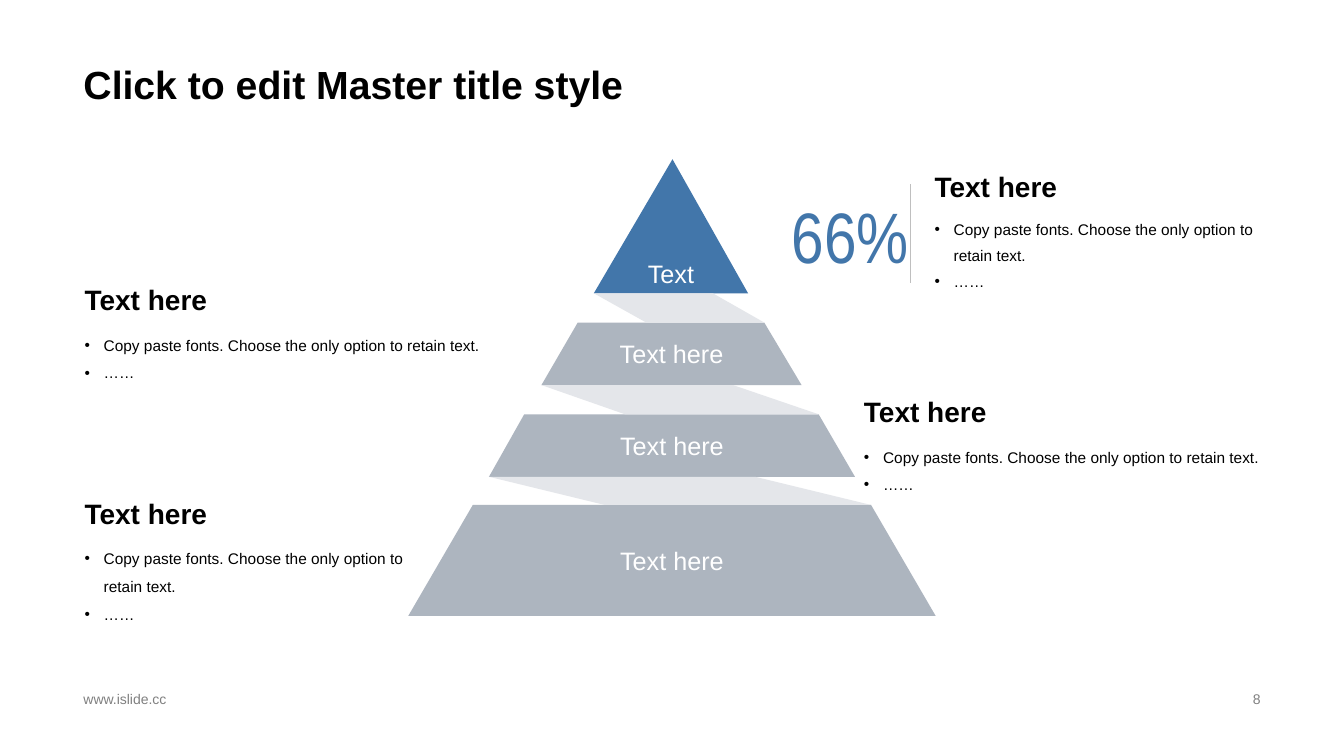
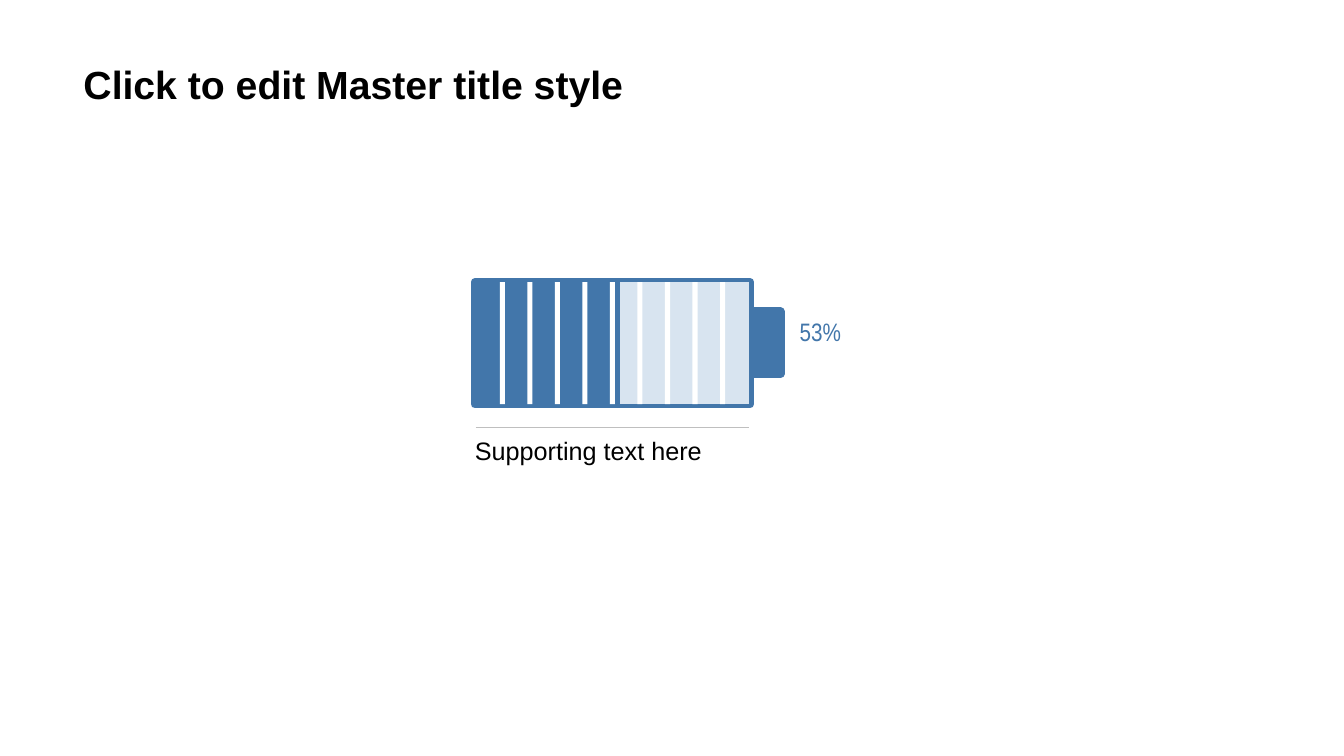
import pptx
import pptx.util
import pptx.dml.color
import pptx.enum.shapes
import pptx.enum.text
import pptx.oxml
import pptx.oxml.ns

Inches, Pt = pptx.util.Inches, pptx.util.Pt
RGBColor = pptx.dml.color.RGBColor
ALIGN, ANCHOR = pptx.enum.text.PP_ALIGN, pptx.enum.text.MSO_ANCHOR
qn = pptx.oxml.ns.qn
NAMESPACE = pptx.oxml.ns.nsdecls("a")

BLUE = RGBColor(0x42, 0x76, 0xAA)
PALE_BLUE = RGBColor(0xD8, 0xE4, 0xF0)
STEEL = RGBColor(0xAD, 0xB5, 0xBF)
MIST = RGBColor(0xE4, 0xE6, 0xEA)
RULE_GREY = RGBColor(0xBF, 0xBF, 0xBF)
FOOTER_GREY = RGBColor(0x80, 0x80, 0x80)
BLACK = RGBColor(0, 0, 0)
WHITE = RGBColor(255, 255, 255)
BULLET_INDENT = Inches(0.19)


def write(frame, lines, size, color=BLACK, font="Arial", bold=False, anchor=ANCHOR.TOP,
          align=ALIGN.LEFT, wrap=False, spacing=None, bullet=False, inset=True):
    """Fill a text frame with one paragraph per line, all in one style."""
    frame.word_wrap = wrap
    frame.vertical_anchor = anchor
    frame.margin_left = frame.margin_right = Inches(0.1 if inset else 0)
    frame.margin_top = frame.margin_bottom = Inches(0.05 if inset else 0)
    for index, line in enumerate(lines):
        paragraph = frame.paragraphs[0] if index == 0 else frame.add_paragraph()
        paragraph.alignment = align
        if spacing:
            paragraph.line_spacing = spacing
        if bullet:
            properties = paragraph._p.get_or_add_pPr()
            properties.set("marL", str(BULLET_INDENT))
            properties.set("indent", str(-BULLET_INDENT))
            properties.append(pptx.oxml.parse_xml(f'<a:buFont {NAMESPACE} typeface="Arial"/>'))
            properties.append(pptx.oxml.parse_xml(f'<a:buChar {NAMESPACE} char="•"/>'))
        run = paragraph.add_run()
        run.text = line
        run.font.name, run.font.size, run.font.bold = font, Pt(size), bold
        run.font.color.rgb = color


def add_outline(slide, contours, color):
    """Draw closed contours, given in inches, as one filled freeform without a line."""
    builder = None
    for contour in contours:
        start, *rest = [(Inches(x), Inches(y)) for x, y in contour]
        if builder is None:
            builder = slide.shapes.build_freeform(*start)
        else:
            builder.move_to(*start)
        builder.add_line_segments(rest, close=True)
    outline = builder.convert_to_shape()
    outline.shadow.inherit = False
    outline.fill.solid()
    outline.fill.fore_color.rgb = color
    outline.line.fill.background()
    return outline


deck = pptx.Presentation()
deck.slide_width, deck.slide_height = Inches(13.33), Inches(7.5)
pyramid_slide, battery_slide = [deck.slides.add_slide(deck.slide_layouts[6]) for _ in range(2)]

# Titles and divider rules
RULES = [
    (pyramid_slide, (9.03, 1.83, 9.03, 2.81)),
    (battery_slide, (4.72, 4.24, 7.43, 4.24)),
]
for slide, ends in RULES:
    title = slide.shapes.add_textbox(Inches(0.73), 0, Inches(11.87), Inches(1.12))
    write(title.text_frame, ["Click to edit Master title style"], 28, bold=True,
          anchor=ANCHOR.BOTTOM, wrap=True, spacing=0.9)
    rule = slide.shapes.add_connector(pptx.enum.shapes.MSO_CONNECTOR.STRAIGHT,
                                      *[Inches(value) for value in ends])
    rule.line.color.rgb = RULE_GREY
    rule.line.width = Pt(0.25)
    rule._element.spPr.append(pptx.oxml.parse_xml(f"<a:effectLst {NAMESPACE}/>"))

# Footer
for text, left, width, align in [("www.islide.cc", 0.73, 4.53, ALIGN.LEFT),
                                 ("8", 9.42, 3.18, ALIGN.RIGHT)]:
    footer = pyramid_slide.shapes.add_textbox(Inches(left), Inches(6.82), Inches(width), Inches(0.23))
    write(footer.text_frame, [text], 10, FOOTER_GREY, anchor=ANCHOR.MIDDLE, align=align, wrap=True)

# Pyramid tiers: label, colour, anchor, top edge (left, right, y), bottom edge (left, right, y)
TIERS = [
    ("Text", BLUE, ANCHOR.BOTTOM, (6.67, 6.67, 1.58), (5.89, 7.42, 2.91)),
    ("Text here", STEEL, ANCHOR.MIDDLE, (5.73, 7.58, 3.2), (5.37, 7.95, 3.82)),
    ("Text here", STEEL, ANCHOR.MIDDLE, (5.2, 8.12, 4.11), (4.85, 8.48, 4.73)),
    ("Text here", STEEL, ANCHOR.MIDDLE, (4.69, 8.64, 5.01), (4.05, 9.28, 6.11)),
]
for label, color, anchor, (top_left, top_right, top), (low_left, low_right, low) in TIERS:
    corners = [(low_left, low), (top_left, top), (top_right, top), (low_right, low)]
    tier = add_outline(pyramid_slide, [corners], color)
    write(tier.text_frame, [label], 18, WHITE, anchor=anchor, align=ALIGN.CENTER)

# Ribbons run from each tier's lower left corner to the next tier's upper right corner
RIBBON_FOLDS = [(7.07, 6.41), (7.27, 6.2), (7.49, 6)]
for upper, lower, (fold_right, fold_left) in zip(TIERS, TIERS[1:], RIBBON_FOLDS):
    start, _, start_y = upper[4]
    _, end, end_y = lower[3]
    add_outline(pyramid_slide, [[(start, start_y), (fold_right, start_y),
                                 (end, end_y), (fold_left, end_y)]], MIST)

share = pyramid_slide.shapes.add_textbox(Inches(7.85), Inches(1.94), Inches(1.2), Inches(0.78))
write(share.text_frame, ["66%"], 51, BLUE, font="Arial Narrow", anchor=ANCHOR.MIDDLE, inset=False)

# Callouts: left, top, width, body height, line spacing
HEADING_HEIGHT = 0.48
CALLOUTS = [
    (9.17, 1.58, 3.42, 0.89, 1.4),
    (0.74, 2.71, 4.47, 0.83, 1.5),
    (8.47, 3.82, 4.13, 0.85, 1.5),
    (0.74, 4.83, 3.47, 0.98, 1.5),
]
for left, top, width, body_height, spacing in CALLOUTS:
    heading = pyramid_slide.shapes.add_textbox(Inches(left), Inches(top),
                                               Inches(width), Inches(HEADING_HEIGHT))
    write(heading.text_frame, ["Text here"], 20, bold=True, anchor=ANCHOR.BOTTOM)
    body = pyramid_slide.shapes.add_textbox(Inches(left), Inches(top + HEADING_HEIGHT),
                                            Inches(width), Inches(body_height))
    write(body.text_frame, ["Copy paste fonts. Choose the only option to retain text.", "……"], 11,
          wrap=True, spacing=spacing, bullet=True)

# Battery casing with its terminal
LEFT, TOP, RIGHT, BOTTOM = 4.71, 2.8, 7.44, 4.01
TERMINAL_RIGHT, TERMINAL_TOP, TERMINAL_BOTTOM = 7.74, 3.09, 3.71
casing = add_outline(battery_slide, [[
    (LEFT, TOP), (RIGHT, TOP), (RIGHT, TERMINAL_TOP), (TERMINAL_RIGHT, TERMINAL_TOP),
    (TERMINAL_RIGHT, TERMINAL_BOTTOM), (RIGHT, TERMINAL_BOTTOM), (RIGHT, BOTTOM), (LEFT, BOTTOM),
]], BLUE)
casing.line.color.rgb = BLUE
casing.line.width = Pt(6)
casing._element.spPr.find(qn("a:ln")).append(pptx.oxml.parse_xml(f"<a:round {NAMESPACE}/>"))

# Charge level: a gradient with a hard edge at the charged percentage
CHARGE = 53
level = battery_slide.shapes.add_shape(pptx.enum.shapes.MSO_SHAPE.RECTANGLE, Inches(LEFT), Inches(TOP),
                                       Inches(2.72), Inches(BOTTOM - TOP))
level.shadow.inherit = False
level.line.fill.background()
level.fill.gradient()
level.fill.gradient_angle = 0
stops = level._element.spPr.find(qn("a:gradFill")).find(qn("a:gsLst"))
for stop in list(stops):
    stops.remove(stop)
for percent, color in [(0, BLUE), (CHARGE, BLUE), (CHARGE, PALE_BLUE), (100, PALE_BLUE)]:
    stops.append(pptx.oxml.parse_xml(
        f'<a:gs {NAMESPACE} pos="{percent * 1000}"><a:srgbClr val="{color}"/></a:gs>'))

# Nine gaps, centred on the cell borders, divide the battery into ten cells
CELLS, GAP = 10, 0.05
pitch = (RIGHT - LEFT) / CELLS
gap_lefts = [LEFT + cell * pitch - GAP / 2 for cell in range(1, CELLS)]
add_outline(battery_slide, [[(x, TOP), (x + GAP, TOP), (x + GAP, BOTTOM), (x, BOTTOM)]
                            for x in gap_lefts], WHITE)

charge_label = battery_slide.shapes.add_textbox(Inches(7.93), Inches(3.14), Inches(0.69), Inches(0.52))
write(charge_label.text_frame, [f"{CHARGE}%"], 18, BLUE, font="Arial Narrow", inset=False)
caption = battery_slide.shapes.add_textbox(Inches(LEFT), Inches(4.32), Inches(2.72), Inches(0.38))
write(caption.text_frame, ["Supporting text here"], 18, inset=False)

deck.save("out.pptx")
